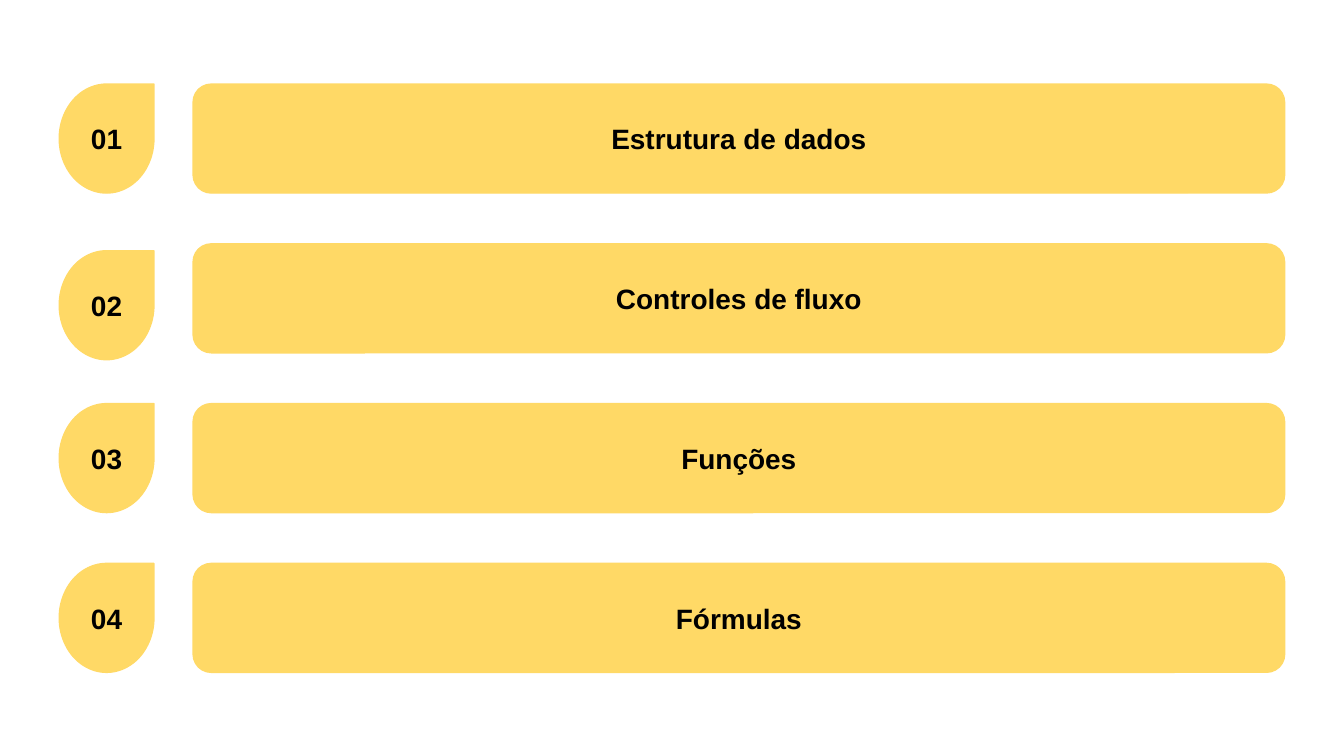
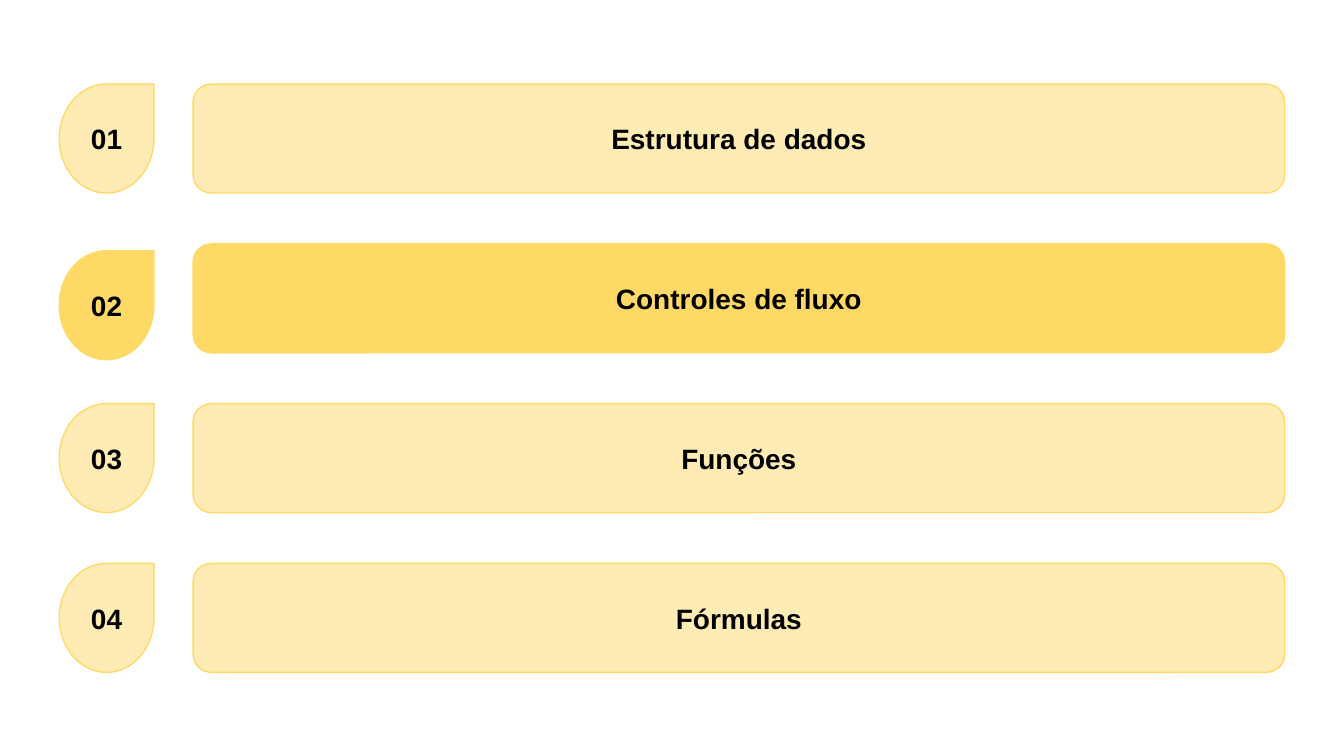
from lxml import etree
from pptx import Presentation
from pptx.dml.color import RGBColor
from pptx.enum.shapes import MSO_SHAPE
from pptx.enum.text import MSO_ANCHOR, PP_ALIGN
from pptx.oxml.ns import qn
from pptx.util import Cm, Pt

ROUNDED = MSO_SHAPE.ROUNDED_RECTANGLE
TEARDROP = MSO_SHAPE.TEAR
MIDDLE = MSO_ANCHOR.MIDDLE
CENTER = PP_ALIGN.CENTER

YELLOW = "FFD966"
BLACK = "000000"
FONT = "Arial"
FADED_OPACITY = 48

TOPICS = ["Estrutura de dados", "Controles de fluxo", "Funções", "Fórmulas"]
FIRST_TOP = 1.59
ROW_PITCH = 3.02
ROW_HEIGHT = 2.06
NUMBER_LEFT, NUMBER_WIDTH = 1.12, 1.79
TOPIC_LEFT, TOPIC_WIDTH = 3.65, 20.63
NUMBER_OFFSETS = {2: 0.13}


def color(hex_text):
    return RGBColor.from_string(hex_text)


class AgendaDeck:
    def __init__(self):
        self.presentation = Presentation()
        self.presentation.slide_width = Cm(25.4)
        self.presentation.slide_height = Cm(14.29)
        self.slide = None

    def add_slide(self):
        blank_layout = self.presentation.slide_layouts[6]
        self.slide = self.presentation.slides.add_slide(blank_layout)

    def add_label(self, kind, text, left, top, width, opacity):
        shape = self.slide.shapes.add_shape(
            kind, Cm(left), Cm(top), Cm(width), Cm(ROW_HEIGHT))
        shape.shadow.inherit = False
        shape.fill.solid()
        shape.fill.fore_color.rgb = color(YELLOW)
        if opacity < 100:
            fill_color = shape._element.spPr.find(qn("a:solidFill")).find(qn("a:srgbClr"))
            etree.SubElement(fill_color, qn("a:alpha"), val=str(opacity * 1000))
        shape.line.color.rgb = color(YELLOW)
        shape.line.width = Pt(0.75)
        self.set_text(shape.text_frame, text)

    def set_text(self, text_frame, text):
        text_frame.text = text
        text_frame.word_wrap = True
        text_frame.vertical_anchor = MIDDLE
        text_frame.margin_left = text_frame.margin_right = Cm(0.25)
        text_frame.margin_top = text_frame.margin_bottom = Cm(0.25)
        paragraph = text_frame.paragraphs[0]
        paragraph.alignment = CENTER
        font = paragraph.runs[0].font
        font.name = FONT
        font.size = Pt(15)
        font.bold = True
        font.color.rgb = color(BLACK)

    def add_agenda(self, highlighted):
        self.add_slide()
        for number, topic in enumerate(TOPICS, start=1):
            top = FIRST_TOP + (number - 1) * ROW_PITCH
            opacity = 100 if number in highlighted else FADED_OPACITY
            self.add_label(ROUNDED, topic, TOPIC_LEFT, top, TOPIC_WIDTH, opacity)
            number_top = top + NUMBER_OFFSETS.get(number, 0)
            self.add_label(TEARDROP, f"{number:02d}", NUMBER_LEFT, number_top,
                           NUMBER_WIDTH, opacity)


def main():
    deck = AgendaDeck()
    deck.add_agenda(highlighted={1, 2, 3, 4})
    deck.add_agenda(highlighted={2})
    deck.presentation.save("out.pptx")


if __name__ == "__main__":
    main()
